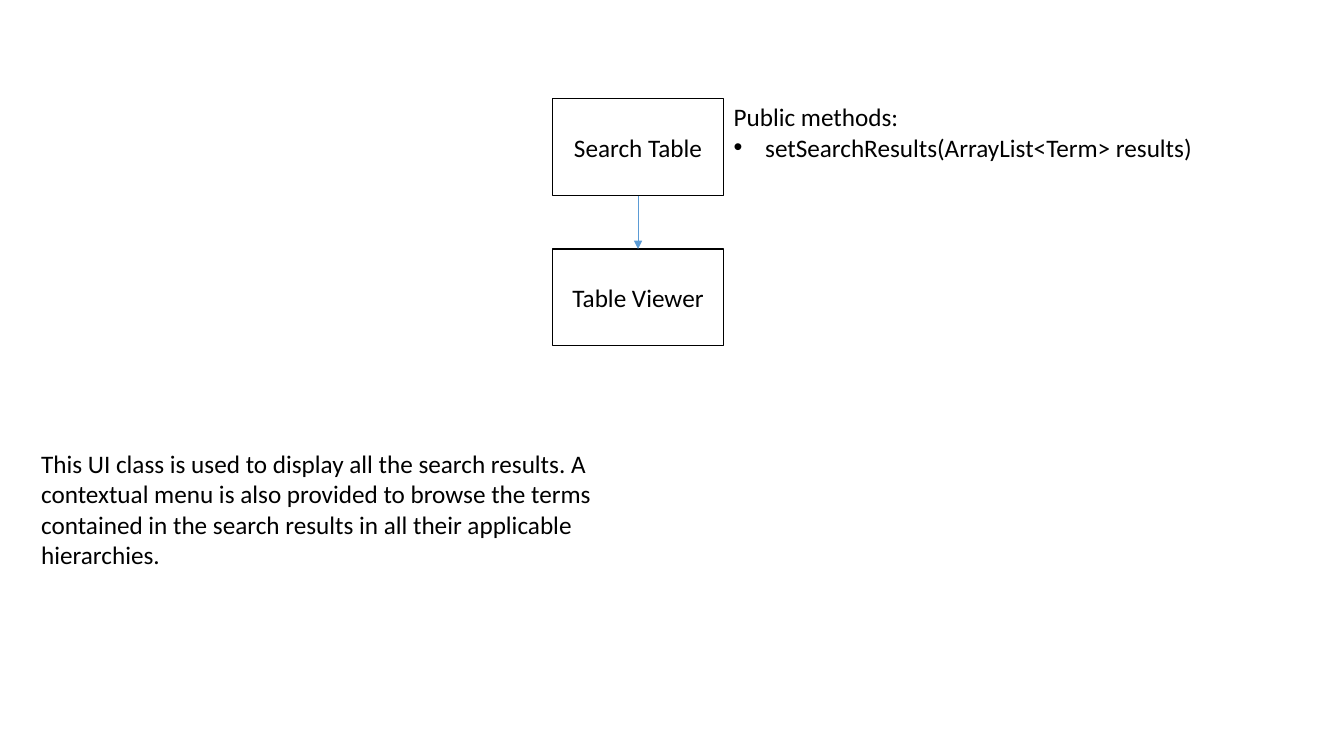
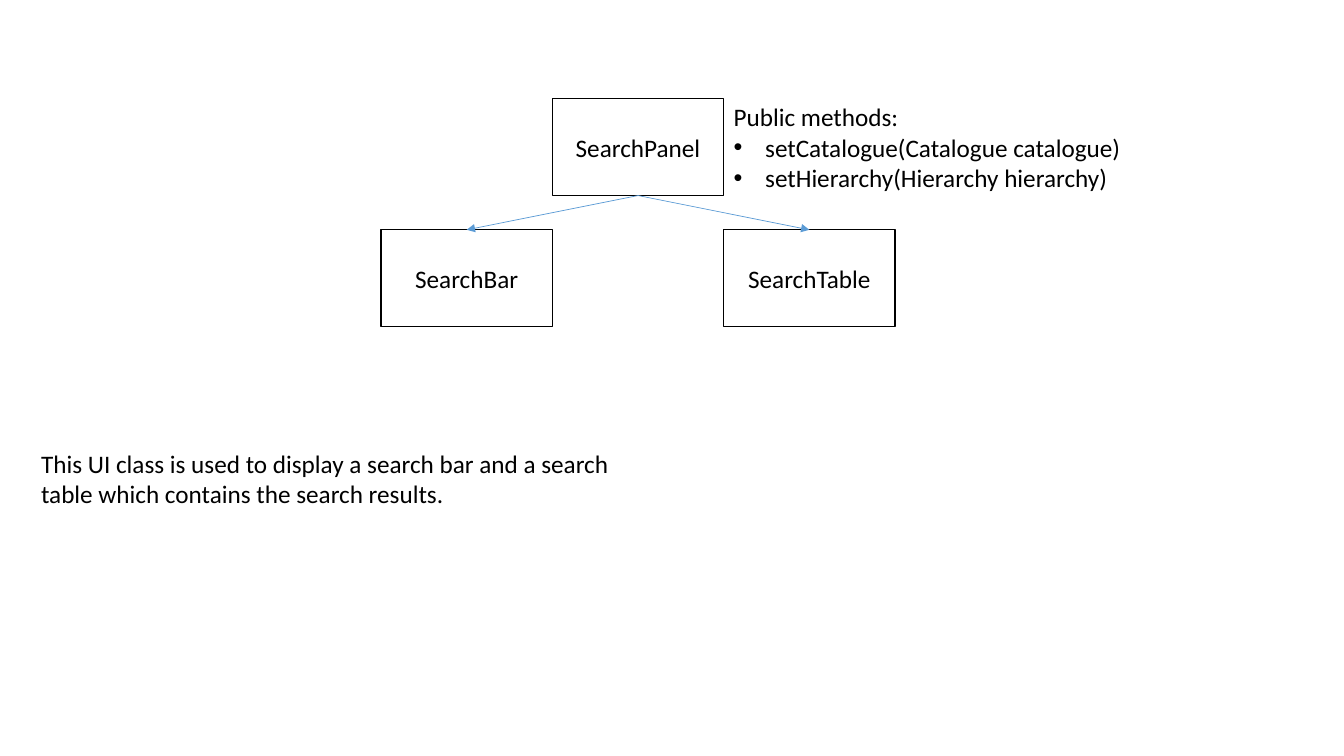
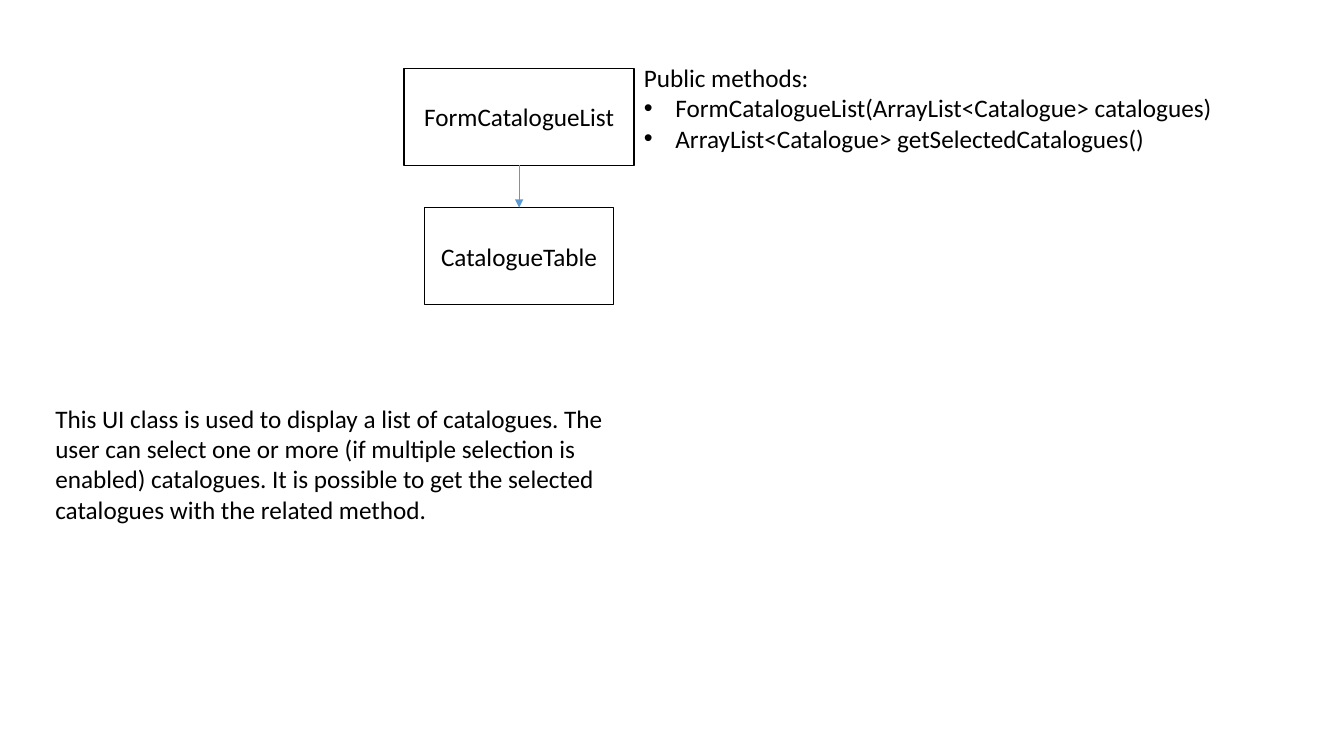
from dataclasses import dataclass

from lxml.etree import SubElement
from pptx import Presentation
from pptx.dml.color import RGBColor
from pptx.enum.shapes import MSO_CONNECTOR, MSO_SHAPE
from pptx.enum.text import MSO_ANCHOR, MSO_AUTO_SIZE, PP_ALIGN
from pptx.oxml.ns import qn
from pptx.shapes.autoshape import Shape
from pptx.slide import Slide
from pptx.util import Pt

COLOURS = {"fill": "FFFFFF", "ink": "000000", "arrow": "5B9BD5"}
FONT_NAME = "Calibri"
FONT_SIZE = 18
BOX_HEIGHT = 69.12
BOX_WIDTH = 122.4
BULLET_INDENT = 22.5


@dataclass(frozen=True)
class ClassBox:
    """A class in the diagram, placed by its centre line."""

    name: str
    centre: float
    top: float
    width: float = BOX_WIDTH


@dataclass(frozen=True)
class TextArea:
    """The place and wrapping of a text box."""

    left: float
    top: float
    width: float
    height: float
    wrap: bool = True


@dataclass(frozen=True)
class ClassDiagram:
    """One slide: a class, its parts, its methods and a description."""

    parent: ClassBox
    children: tuple[ClassBox, ...]
    methods: tuple[str, ...]
    methods_area: TextArea
    description: str
    description_area: TextArea


CENTRE = 455.76
PARENT_TOP = 70.56
METHODS_LEFT = CENTRE + BOX_WIDTH / 2

DIAGRAMS = (
    ClassDiagram(
        ClassBox("Search Table", CENTRE, PARENT_TOP),
        (ClassBox("Table Viewer", CENTRE, 177.84),),
        ("setSearchResults(ArrayList<Term> results)",),
        TextArea(METHODS_LEFT, 69.12, 344.88, 50.9, wrap=False),
        "This UI class is used to display all the search results. A contextual menu is also "
        "provided to browse the terms contained in the search results in all their applicable "
        "hierarchies.",
        TextArea(22.32, 316.8, 421.92, 94.5),
    ),
    ClassDiagram(
        ClassBox("SearchPanel", CENTRE, PARENT_TOP),
        (
            ClassBox("SearchBar", CENTRE - BOX_WIDTH, 164.16),
            ClassBox("SearchTable", CENTRE + BOX_WIDTH, 164.16),
        ),
        ("setCatalogue(Catalogue catalogue)", "setHierarchy(Hierarchy hierarchy)"),
        TextArea(METHODS_LEFT, 69.12, 293.76, 72.7, wrap=False),
        "This UI class is used to display a search bar and a search table which contains the "
        "search results.",
        TextArea(22.32, 316.8, 421.92, 50.9),
    ),
    ClassDiagram(
        ClassBox("FormCatalogueList", 370.8, 48.96, 164.16),
        (ClassBox("CatalogueTable", 370.8, 148.32, 135.36),),
        (
            "FormCatalogueList(ArrayList<Catalogue> catalogues)",
            "ArrayList<Catalogue> getSelectedCatalogues()",
        ),
        TextArea(452.88, 41.04, 434.16, 72.7),
        "This UI class is used to display a list of catalogues. The user can select one or more "
        "(if multiple selection is enabled) catalogues. It is possible to get the selected "
        "catalogues with the related method.",
        TextArea(32.4, 284.4, 416.88, 94.5),
    ),
)


def colour(name: str) -> RGBColor:
    """Look up a shared colour."""
    return RGBColor.from_string(COLOURS[name])


def write_paragraphs(shape: Shape, lines: tuple[str, ...], bulleted: bool = False) -> None:
    """Fill a shape with lines, bulleting all but the first if asked."""
    frame = shape.text_frame
    for index, line in enumerate(lines):
        paragraph = frame.add_paragraph() if index else frame.paragraphs[0]
        paragraph.text = line
        if bulleted and index:
            properties = paragraph._p.get_or_add_pPr()
            properties.set("marL", str(Pt(BULLET_INDENT)))
            properties.set("indent", str(-Pt(BULLET_INDENT)))
            SubElement(properties, qn("a:buFont"), typeface="Arial")
            SubElement(properties, qn("a:buChar"), char="•")
        paragraph.font.name = FONT_NAME
        paragraph.font.size = Pt(FONT_SIZE)
        paragraph.font.color.rgb = colour("ink")


def draw_box(slide: Slide, box: ClassBox) -> Shape:
    """Draw a class as an outlined rectangle with its name."""
    shape = slide.shapes.add_shape(
        MSO_SHAPE.RECTANGLE,
        Pt(box.centre - box.width / 2), Pt(box.top), Pt(box.width), Pt(BOX_HEIGHT),
    )
    shape.shadow.inherit = False
    shape.fill.solid()
    shape.fill.fore_color.rgb = colour("fill")
    shape.line.color.rgb = colour("ink")
    shape.line.width = Pt(1)
    shape.text_frame.vertical_anchor = MSO_ANCHOR.MIDDLE
    write_paragraphs(shape, (box.name,))
    shape.text_frame.paragraphs[0].alignment = PP_ALIGN.CENTER
    return shape


def draw_arrow(slide: Slide, parent: Shape, child: Shape) -> None:
    """Point an arrow from the bottom of a parent to the top of a child."""
    arrow = slide.shapes.add_connector(MSO_CONNECTOR.STRAIGHT, 0, 0, 0, 0)
    arrow.begin_connect(parent, 2)
    arrow.end_connect(child, 0)
    arrow.line.color.rgb = colour("arrow")
    arrow.line.width = Pt(0.5)
    SubElement(arrow.line._get_or_add_ln(), qn("a:tailEnd"), type="triangle")
    SubElement(arrow._element.spPr, qn("a:effectLst"))


def draw_text(
    slide: Slide, area: TextArea, lines: tuple[str, ...], bulleted: bool = False
) -> None:
    """Draw a text box that grows with its text."""
    shape = slide.shapes.add_textbox(
        Pt(area.left), Pt(area.top), Pt(area.width), Pt(area.height)
    )
    shape.text_frame.word_wrap = area.wrap
    shape.text_frame.auto_size = MSO_AUTO_SIZE.SHAPE_TO_FIT_TEXT
    write_paragraphs(shape, lines, bulleted)


def draw_diagram(slide: Slide, diagram: ClassDiagram) -> None:
    """Draw a whole class diagram on a slide."""
    parent = draw_box(slide, diagram.parent)
    for child in diagram.children:
        draw_arrow(slide, parent, draw_box(slide, child))
    draw_text(
        slide, diagram.methods_area, ("Public methods:", *diagram.methods), bulleted=True
    )
    draw_text(slide, diagram.description_area, (diagram.description,))


def main() -> None:
    """Build and save the presentation."""
    presentation = Presentation()
    presentation.slide_width = Pt(960)
    presentation.slide_height = Pt(540)
    for diagram in DIAGRAMS:
        draw_diagram(presentation.slides.add_slide(presentation.slide_layouts[6]), diagram)
    presentation.save("out.pptx")


if __name__ == "__main__":
    main()
